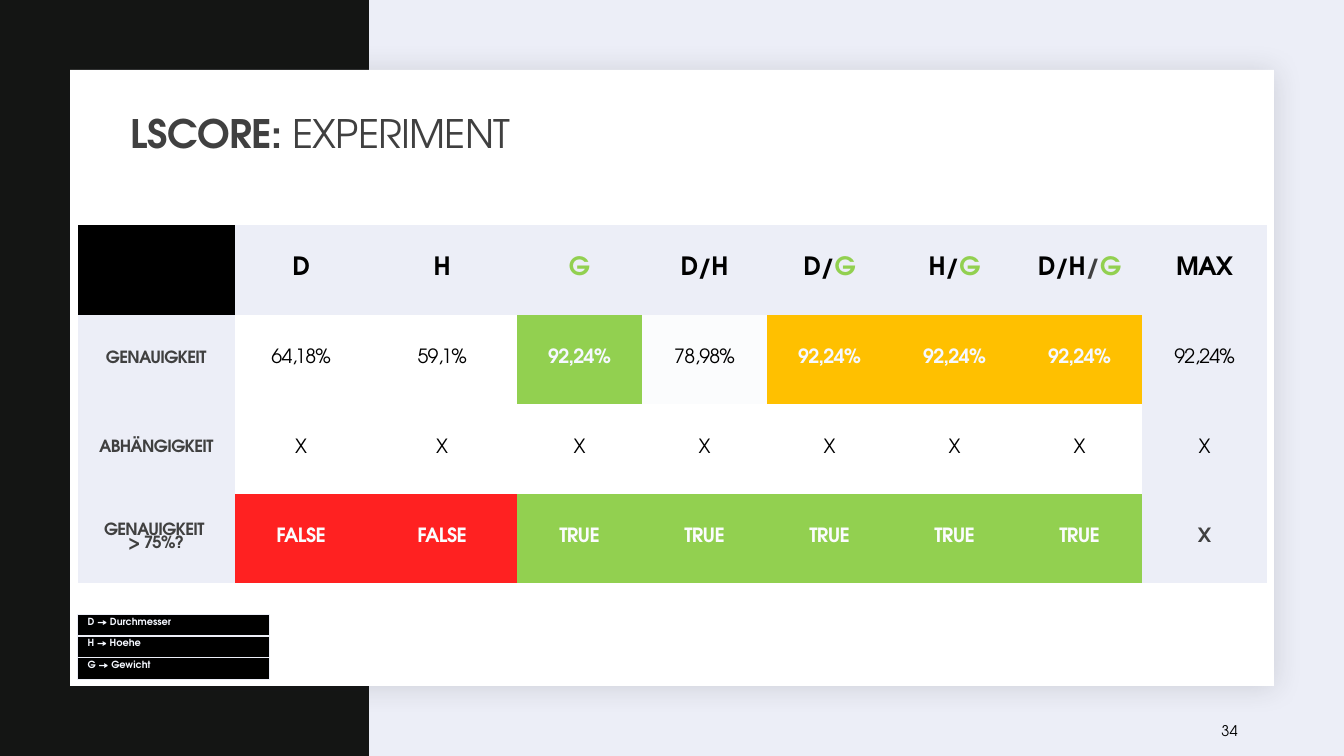
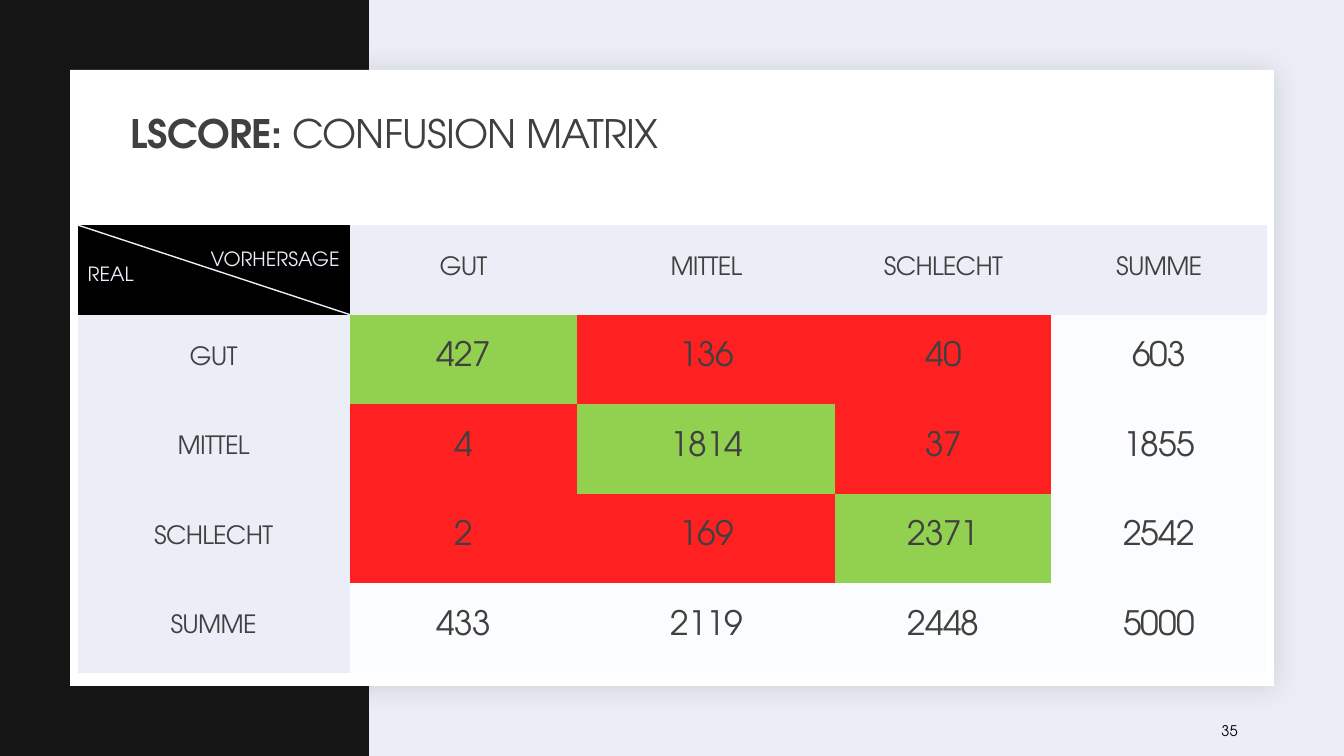
from lxml.etree import SubElement
from pptx import Presentation
from pptx.dml.color import RGBColor
from pptx.enum.shapes import MSO_CONNECTOR as Connector, MSO_SHAPE as Shape
from pptx.enum.text import MSO_ANCHOR as Anchor, PP_ALIGN as Align
from pptx.oxml.ns import qn
from pptx.util import Pt

BLACK = RGBColor(0x00, 0x00, 0x00)
WHITE = RGBColor(0xFF, 0xFF, 0xFF)
INK = RGBColor(0x14, 0x15, 0x14)
GREY = RGBColor(0x40, 0x40, 0x40)
MIST = RGBColor(0xEC, 0xEE, 0xF7)
PALE = RGBColor(0xFB, 0xFC, 0xFD)
ICE = RGBColor(0xF5, 0xF8, 0xFF)
GREEN = RGBColor(0x92, 0xD0, 0x50)
AMBER = RGBColor(0xFF, 0xC0, 0x00)
RED = RGBColor(0xFF, 0x21, 0x21)

FONT = "TeX Gyre Adventor"
NO_STYLE = "{2D5ABB26-0587-4C30-8999-92F81FD0307C}"
WIDTH, HEIGHT = 960, 540
TABLE_LEFT, TABLE_TOP, ROW_HEIGHT = 55.4, 160.7, 64

FEATURE_COLUMNS = [112.5, 94.5, 107] + [89.3] * 6
FEATURES = [
    [("D", BLACK)],
    [("H", BLACK)],
    [("G", GREEN)],
    [("D/H", BLACK)],
    [("D/", BLACK), ("G", GREEN)],
    [("H/", BLACK), ("G", GREEN)],
    [("D/H", BLACK), ("/", GREY), ("G", GREEN)],
    [("MAX", BLACK)],
]
ACCURACY = [
    ("64,18%", WHITE), ("59,1%", WHITE), ("92,24%", GREEN), ("78,98%", PALE),
    ("92,24%", AMBER), ("92,24%", AMBER), ("92,24%", AMBER), ("92,24%", MIST),
]
DEPENDENCY = [("X", WHITE)] * 7 + [("X", MIST)]
VERDICT = [("FALSE", RED)] * 2 + [("TRUE", GREEN)] * 5 + [("X", MIST)]
EXPERIMENT = [
    (["GENAUIGKEIT"], ACCURACY),
    (["ABHÄNGIGKEIT"], DEPENDENCY),
    (["GENAUIGKEIT ", "> 75%?"], VERDICT),
]
LEGEND = ["D → Durchmesser", "H → Hoehe", "G → Gewicht"]

MATRIX_COLUMNS = [194.4, 162.7, 184.3, 154.2, 154.2]
CLASSES = ["GUT", "MITTEL", "SCHLECHT", "SUMME"]
MATRIX = [
    [427, 136, 40, 603],
    [4, 1814, 37, 1855],
    [2, 169, 2371, 2542],
    [433, 2119, 2448, 5000],
]


def write(frame, paragraphs, size=18, color=GREY, bold=False, aligns=(Align.CENTER,),
          tracking=-50, leading=0.8, anchor=Anchor.MIDDLE):
    """Fill a text frame; a paragraph is a string or a list of (text, colour[, bold]) runs."""
    frame.word_wrap = True
    frame.vertical_anchor = anchor
    for index, content in enumerate(paragraphs):
        para = frame.paragraphs[0] if index == 0 else frame.add_paragraph()
        para.alignment = aligns[index % len(aligns)]
        para.line_spacing = leading
        runs = [(content, color)] if isinstance(content, str) else content
        for text, run_color, *weight in runs:
            span = para.add_run()
            span.text = text
            span.font.name = FONT
            span.font.size = Pt(size)
            span.font.bold = weight[0] if weight else bold
            span.font.color.rgb = run_color
            if tracking:
                span.font._element.set("spc", str(tracking))


def add_label(page, left, top, width, height, paragraphs, **text_format):
    """Place a text box."""
    box = page.shapes.add_textbox(Pt(left), Pt(top), Pt(width), Pt(height))
    write(box.text_frame, paragraphs, **text_format)


def add_panel(page, left, top, width, height, color):
    """Place a plain filled rectangle."""
    panel = page.shapes.add_shape(Shape.RECTANGLE, Pt(left), Pt(top), Pt(width), Pt(height))
    panel.shadow.inherit = False
    panel.fill.solid()
    panel.fill.fore_color.rgb = color
    panel.line.fill.background()
    return panel


def add_soft_shadow(panel):
    """Give a panel a faint diagonal shadow."""
    effects = panel._element.spPr.find(qn("a:effectLst"))
    shadow = SubElement(effects, qn("a:outerShdw"), blurRad=str(Pt(20)), dist=str(Pt(2)),
                        dir=str(45 * 60000), algn="tl", rotWithShape="0")
    color = SubElement(shadow, qn("a:srgbClr"), val="1F2125")
    SubElement(color, qn("a:alpha"), val="15000")


def add_borders(cell, color):
    """Draw a one-point line on all four sides of a cell."""
    properties = cell._tc.get_or_add_tcPr()
    for index, side in enumerate(("a:lnL", "a:lnR", "a:lnT", "a:lnB")):
        line = SubElement(properties, qn(side), w=str(Pt(1)))
        fill = SubElement(line, qn("a:solidFill"))
        SubElement(fill, qn("a:srgbClr"), val=str(color))
        properties.remove(line)
        properties.insert(index, line)


def add_grid(page, left, top, columns, row_height, rows, border=None):
    """Place a table whose cells are (paragraphs, fill, text format)."""
    frame = page.shapes.add_table(len(rows), len(columns), Pt(left), Pt(top),
                                  Pt(sum(columns)), Pt(row_height * len(rows)))
    table = frame.table
    table.first_row = table.horz_banding = False
    table._tbl.tblPr.find(qn("a:tableStyleId")).text = NO_STYLE
    for column, width in zip(table.columns, columns):
        column.width = Pt(width)
    for row_index, row in enumerate(rows):
        table.rows[row_index].height = Pt(row_height)
        for column_index, (paragraphs, fill, text_format) in enumerate(row):
            cell = table.cell(row_index, column_index)
            cell.fill.solid()
            cell.fill.fore_color.rgb = fill
            write(cell.text_frame, paragraphs, **text_format)
            cell.vertical_anchor = text_format.get("anchor", Anchor.MIDDLE)
            if border is not None:
                add_borders(cell, border)


def add_page(deck, topic, number):
    """Add a slide with the shared backdrop, title and page number."""
    page = deck.slides.add_slide(deck.slide_layouts[6])
    page.background.fill.solid()
    page.background.fill.fore_color.rgb = MIST
    add_panel(page, 0, 0, 263.6, HEIGHT, INK)
    add_soft_shadow(add_panel(page, 50, 50, 860, 440, WHITE))
    add_label(page, 86.4, 74, 792, 46, [[("LSCORE: ", GREY, True), (topic, GREY)]],
              size=28, aligns=(Align.LEFT,), leading=0.9)
    add_label(page, 865.4, 507.6, 61, 29, [str(number)], size=10.5, color=BLACK,
              aligns=(Align.LEFT,), tracking=0, leading=1)
    return page


def result_format(text, fill):
    """Choose the text format of an experiment result from its cell."""
    verdict = text in ("TRUE", "FALSE")
    if verdict or fill in (GREEN, AMBER):
        return dict(size=14, bold=True, color=PALE if verdict else ICE)
    return dict(size=14, color=BLACK)


def build_experiment(deck):
    """Build the slide with the results per feature set."""
    page = add_page(deck, "EXPERIMENT", 34)
    rows = [[([], BLACK, {})] + [([runs], MIST, dict(bold=True)) for runs in FEATURES]]
    for label, results in EXPERIMENT:
        rows.append([(label, MIST, dict(size=12, bold=True))]
                    + [([text], fill, result_format(text, fill)) for text, fill in results])
    rows[-1][-1] = (["X"], MIST, dict(size=14, bold=True))
    add_grid(page, TABLE_LEFT, TABLE_TOP, FEATURE_COLUMNS, ROW_HEIGHT, rows)
    legend_format = dict(size=7, color=ICE, bold=True, aligns=(Align.LEFT,),
                         tracking=0, anchor=Anchor.TOP)
    add_grid(page, TABLE_LEFT, 438.8, [137.2], 15.5,
             [[([entry], BLACK, legend_format)] for entry in LEGEND], border=MIST)


def matrix_fill(row, column):
    """Colour sums pale, hits green and misses red."""
    if len(CLASSES) - 1 in (row, column):
        return PALE
    return GREEN if row == column else RED


def build_matrix(deck):
    """Build the slide with the confusion matrix."""
    page = add_page(deck, "CONFUSION MATRIX", 35)
    corner_format = dict(size=14, color=MIST, aligns=(Align.RIGHT, Align.LEFT), tracking=0)
    rows = [[(["VORHERSAGE", "REAL"], BLACK, corner_format)]
            + [([name], MIST, {}) for name in CLASSES]]
    for row, (name, counts) in enumerate(zip(CLASSES, MATRIX)):
        rows.append([([name], MIST, {})]
                    + [([str(count)], matrix_fill(row, column), dict(size=24))
                       for column, count in enumerate(counts)])
    add_grid(page, TABLE_LEFT, TABLE_TOP, MATRIX_COLUMNS, ROW_HEIGHT, rows)
    diagonal = page.shapes.add_connector(
        Connector.STRAIGHT, Pt(TABLE_LEFT), Pt(TABLE_TOP),
        Pt(TABLE_LEFT + MATRIX_COLUMNS[0]), Pt(TABLE_TOP + ROW_HEIGHT))
    diagonal.line.color.rgb = MIST
    diagonal.line.width = Pt(1)
    SubElement(diagonal._element.spPr, qn("a:effectLst"))


def main():
    """Build and save the deck."""
    deck = Presentation()
    deck.slide_width, deck.slide_height = Pt(WIDTH), Pt(HEIGHT)
    build_experiment(deck)
    build_matrix(deck)
    deck.save("out.pptx")


if __name__ == "__main__":
    main()
